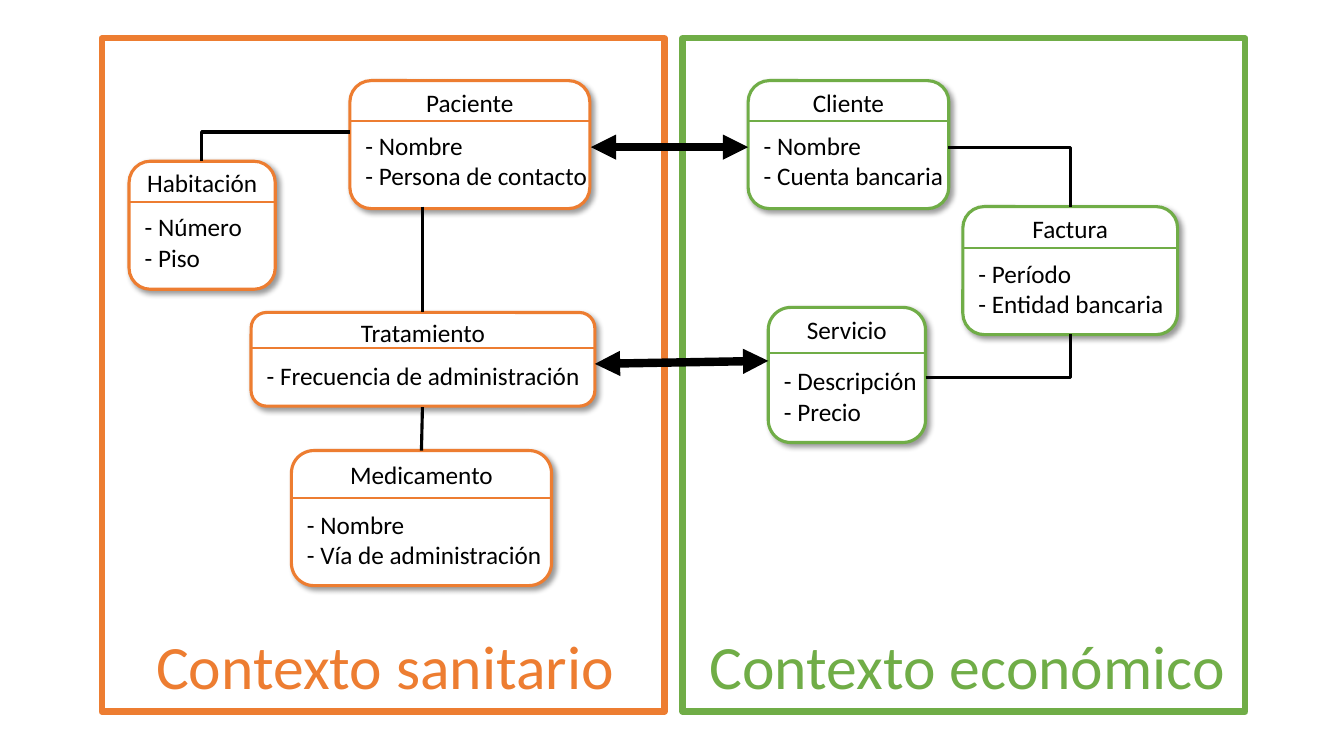
import pptx
import pptx.util
import pptx.dml.color
import pptx.enum.shapes
import pptx.enum.text
import pptx.oxml
import pptx.oxml.ns
from pptx.util import Inches

COLORS = {"health": "ED7D31", "economy": "70AD47", "ink": "000000", "paper": "FFFFFF"}
SHAPES = pptx.enum.shapes.MSO_SHAPE
CONNECTORS = pptx.enum.shapes.MSO_CONNECTOR
ALIGN = pptx.enum.text.PP_ALIGN
ANCHOR = pptx.enum.text.MSO_ANCHOR
qn = pptx.oxml.ns.qn

LINE_HEIGHT = 0.3
CORNER_INSET = 0.05

FRAMES = [
    ("health", (1.01, 0.38, 5.58, 6.68), "Contexto sanitario", 0.44),
    ("economy", (6.77, 0.38, 5.58, 6.68), "Contexto económico", 0.17),
]

CARDS = [
    ("health", (3.47, 0.8, 2.38, 1.27), 0.4, 0.04, "Paciente", ["Nombre", "Persona de contacto"]),
    ("economy", (7.42, 0.8, 1.99, 1.27), 0.4, 0.04, "Cliente", ["Nombre", "Cuenta bancaria"]),
    ("health", (1.28, 1.6, 1.45, 1.27), 0.4, 0.05, "Habitación", ["Número", "Piso"]),
    ("health", (2.89, 4.47, 2.58, 1.34), 0.47, 0.06, "Medicamento", ["Nombre", "Vía de administración"]),
    ("economy", (9.55, 2.05, 2.13, 1.27), 0.41, 0.05, "Factura", ["Período", "Entidad bancaria"]),
    ("economy", (7.62, 3.05, 1.56, 1.34), 0.45, 0.08, "Servicio", ["Descripción", "Precio"]),
    ("health", (2.49, 3.1, 3.41, 0.93), 0.35, 0.08, "Tratamiento", ["Frecuencia de administración"]),
]

STRAIGHT_LINKS = [((4.19, 2.05), (4.19, 3.1)), ((4.19, 4.04), (4.18, 4.47))]
BENT_LINKS = [
    ((3.47, 1.31), (2, 1.6)),
    ((9.4, 1.46), (10.62, 2.05)),
    ((9.18, 3.75), (10.62, 3.31)),
]
CONTEXT_LINKS = [((5.9, 3.61), (7.62, 3.58)), ((5.86, 1.46), (7.42, 1.46))]


def rgb(name):
    return pptx.dml.color.RGBColor.from_string(COLORS[name])


def add_span(para, text, size, color):
    span = para.add_run()
    span.text = text
    span.font.size = pptx.util.Pt(size)
    span.font.name = "Calibri"
    span.font.color.rgb = rgb(color)


def add_text(page, box, lines, size, color):
    frame = page.shapes.add_textbox(*map(Inches, box)).text_frame
    frame.word_wrap = True
    for index, line in enumerate(lines):
        para = frame.add_paragraph() if index else frame.paragraphs[0]
        add_span(para, line, size, color)


def add_outline(page, kind, box, color, width):
    shape = page.shapes.add_shape(kind, *map(Inches, box))
    shape.shadow.inherit = False
    shape.fill.background()
    shape.line.color.rgb = rgb(color)
    shape.line.width = pptx.util.Pt(width)
    return shape


def add_line(page, start, end, color, width, kind=CONNECTORS.STRAIGHT):
    line = page.shapes.add_connector(kind, *map(Inches, start + end))
    line.line.color.rgb = rgb(color)
    line.line.width = pptx.util.Pt(width)
    pptx.oxml.ns.qn
    line._element.spPr.append(pptx.oxml.parse_xml(
        f'<a:effectLst {pptx.oxml.ns.nsdecls("a")}/>'))
    return line


def add_shadow(shape):
    effects = shape._element.spPr.find(qn("a:effectLst"))
    effects.append(pptx.oxml.parse_xml(
        f'<a:outerShdw {pptx.oxml.ns.nsdecls("a")} blurRad="50800" dist="38100" '
        'dir="2700000" algn="tl" rotWithShape="0">'
        f'<a:srgbClr val="{COLORS["ink"]}"><a:alpha val="40000"/></a:srgbClr></a:outerShdw>'))


def add_card(page, color, box, header, gap, title, fields):
    left, top, width, height = box
    card = add_outline(page, SHAPES.ROUNDED_RECTANGLE, box, color, 2.25)
    card.fill.solid()
    card.fill.fore_color.rgb = rgb("paper")
    add_shadow(card)
    frame = card.text_frame
    frame.vertical_anchor = ANCHOR.TOP
    frame.margin_top = Inches(max(0, (header - LINE_HEIGHT) / 2 - CORNER_INSET * height))
    frame.margin_left = frame.margin_right = 0
    para = frame.paragraphs[0]
    para.alignment = ALIGN.CENTER
    add_span(para, title, 18, "ink")
    divider = top + header
    add_line(page, (left, divider), (left + width, divider), color, 1.5)
    text_box = (left, divider + gap, width + 0.12, 0.1 + LINE_HEIGHT * len(fields))
    add_text(page, text_box, [f" - {field}" for field in fields], 18, "ink")


def add_bent_link(page, start, end):
    link = add_line(page, start, end, "ink", 2.25, CONNECTORS.ELBOW)
    link._element.spPr.find(qn("a:prstGeom")).set("prst", "bentConnector2")


def add_context_link(page, start, end):
    link = add_line(page, start, end, "ink", 6)
    outline = link._element.spPr.find(qn("a:ln"))
    for tag in ("headEnd", "tailEnd"):
        outline.append(pptx.oxml.parse_xml(
            f'<a:{tag} {pptx.oxml.ns.nsdecls("a")} type="triangle"/>'))


def add_context(page, color, box, title, indent):
    left, top, width, height = box
    add_outline(page, SHAPES.RECTANGLE, box, color, 4.5)
    add_text(page, (left + indent, top + 5.8, width, 0.84), [title], 44, color)


def build_context_map(page):
    for card in CARDS:
        add_card(page, *card)
    for link in STRAIGHT_LINKS:
        add_line(page, *link, "ink", 2.25)
    for link in BENT_LINKS:
        add_bent_link(page, *link)
    for frame in FRAMES:
        add_context(page, *frame)
    for link in CONTEXT_LINKS:
        add_context_link(page, *link)


deck = pptx.Presentation()
deck.slide_width = Inches(13.33)
deck.slide_height = Inches(7.5)
build_context_map(deck.slides.add_slide(deck.slide_layouts[6]))
deck.save("out.pptx")
